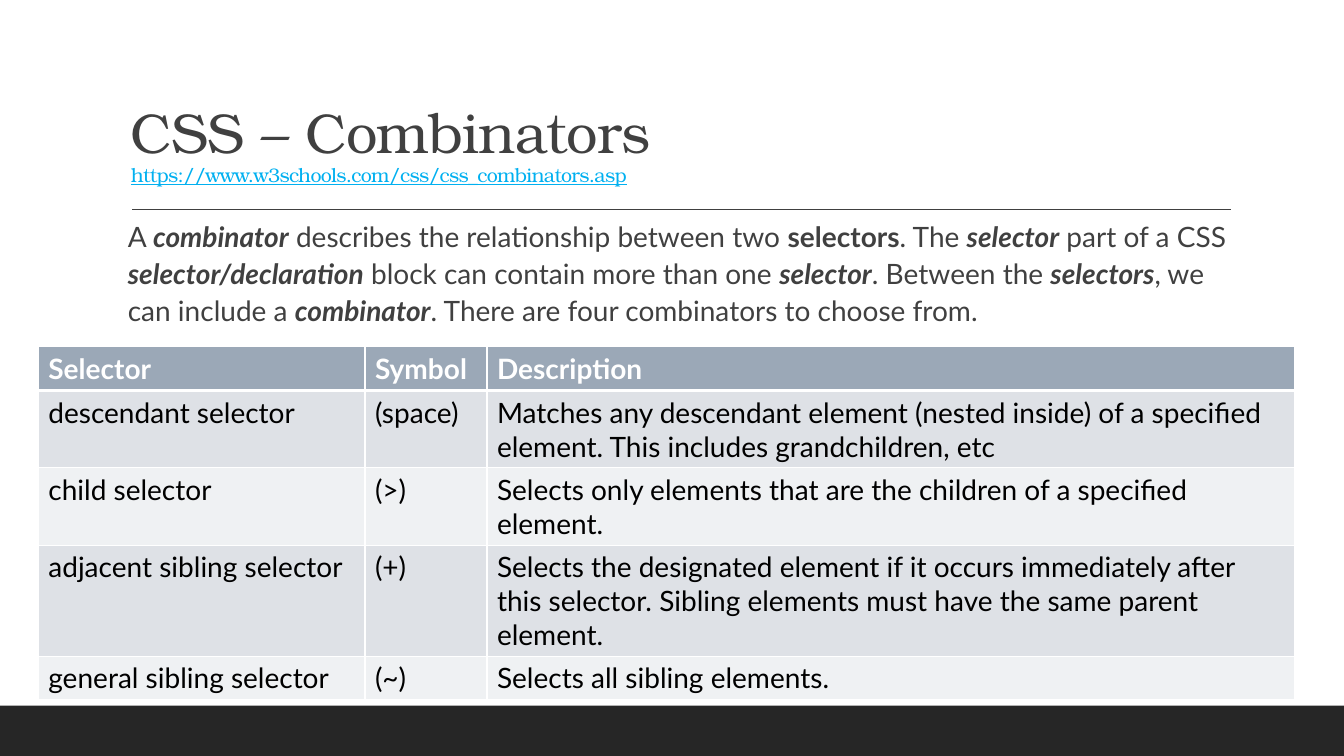
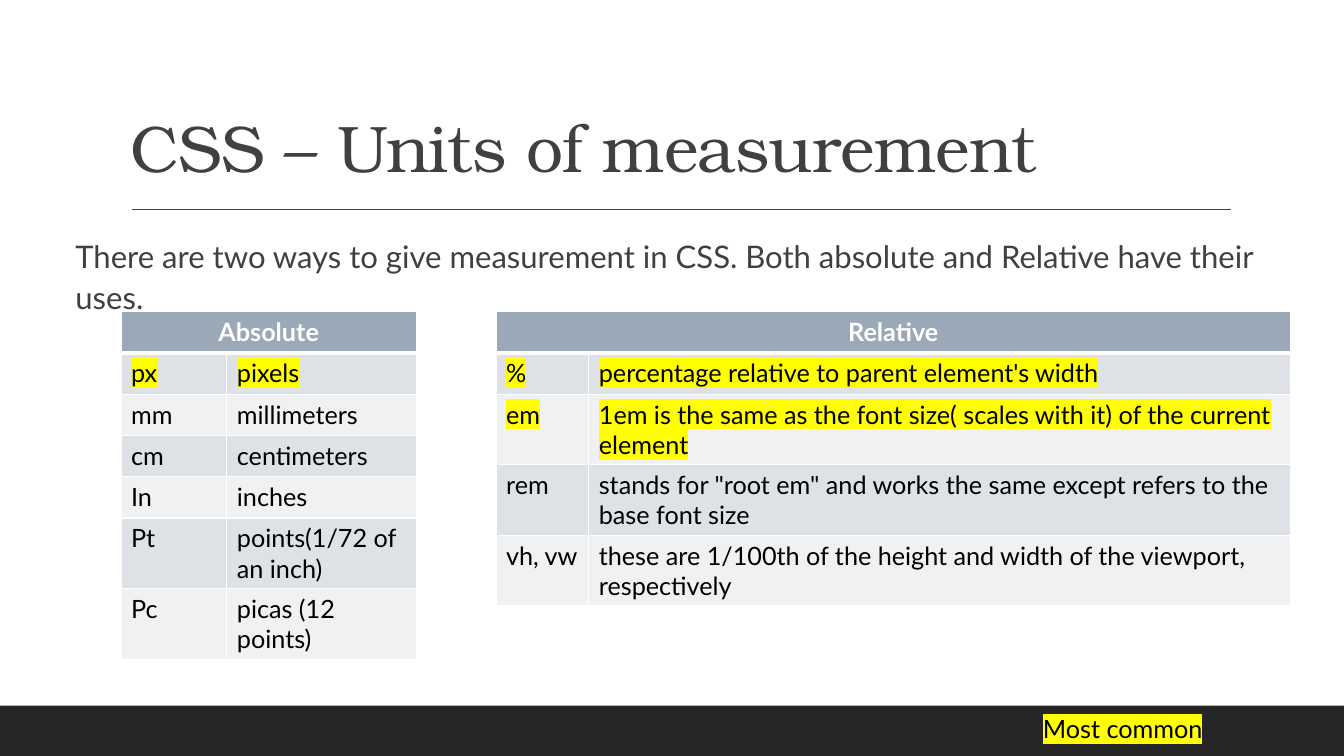
import lxml.etree
import pptx
import pptx.dml.color
import pptx.enum.shapes
import pptx.enum.text
import pptx.oxml.ns
import pptx.util

Inches = pptx.util.Inches
Pt = pptx.util.Pt
RGBColor = pptx.dml.color.RGBColor
qn = pptx.oxml.ns.qn

WHITE = RGBColor(0xFF, 0xFF, 0xFF)
BLACK = RGBColor(0x00, 0x00, 0x00)
CHARCOAL = RGBColor(0x40, 0x40, 0x40)
FOOTER = RGBColor(0x26, 0x26, 0x26)
LINK = RGBColor(0x00, 0xB0, 0xF0)
YELLOW = RGBColor(0xFF, 0xFF, 0x00)
HEADER = RGBColor(0x9B, 0xA8, 0xB7)
BANDS = (RGBColor(0xDE, 0xE1, 0xE6), RGBColor(0xEF, 0xF1, 0xF3))

TITLE_FONT = "TeX Gyre Bonum"
BODY_FONT = "Lato"
CENTER = pptx.enum.text.PP_ALIGN.CENTER
ROW_HEIGHT = 0.41


def add_solid_color(parent, tag, color):
    fill = lxml.etree.SubElement(parent, qn(tag))
    lxml.etree.SubElement(fill, qn("a:srgbClr")).set("val", str(color))


def highlight(span):
    """Mark a span whose font colour is already set."""
    properties = span._r.get_or_add_rPr()
    add_solid_color(properties, "a:highlight", YELLOW)
    properties.find(qn("a:solidFill")).addnext(properties.find(qn("a:highlight")))


def set_borders(cell, top, bottom):
    properties = cell._tc.get_or_add_tcPr()
    for side, points in (("L", 1), ("R", 1), ("T", top), ("B", bottom)):
        line = lxml.etree.SubElement(properties, qn("a:ln" + side))
        line.set("w", str(Pt(points)))
        add_solid_color(line, "a:solidFill", WHITE)


class Lesson:
    """Holds the deck, its style and the current page."""

    def __init__(self):
        self.deck = pptx.Presentation()
        self.deck.slide_width = Inches(13.33)
        self.deck.slide_height = Inches(7.5)
        self.page = None

    def add_page(self):
        self.page = self.deck.slides.add_slide(self.deck.slide_layouts[6])
        band = self.page.shapes.add_shape(
            pptx.enum.shapes.MSO_SHAPE.RECTANGLE,
            Inches(0), Inches(7), Inches(13.33), Inches(0.5))
        band.shadow.inherit = False
        band.fill.solid()
        band.fill.fore_color.rgb = FOOTER
        band.line.fill.background()
        rule = self.page.shapes.add_connector(
            pptx.enum.shapes.MSO_CONNECTOR.STRAIGHT,
            Inches(1.31), Inches(2.08), Inches(12.21), Inches(2.08))
        rule.line.color.rgb = CHARCOAL
        rule.line.width = Pt(1)
        lxml.etree.SubElement(rule._element.spPr, qn("a:effectLst"))

    def add_box(self, left, top, width, height):
        box = self.page.shapes.add_textbox(
            Inches(left), Inches(top), Inches(width), Inches(height))
        box.text_frame.word_wrap = True
        return box.text_frame

    def style_span(self, span, size, color, name=BODY_FONT, bold=False, italic=False):
        font = span.font
        font.size, font.name = Pt(size), name
        font.bold, font.italic = bold, italic
        font.color.rgb = color

    def add_title(self, title, size, address=None):
        frame = self.add_box(1.2, 0.31, 11, 1.59)
        frame.vertical_anchor = pptx.enum.text.MSO_ANCHOR.BOTTOM
        para = frame.paragraphs[0]
        para.text = f"{title}\v{address}" if address else title
        para.line_spacing = 0.9
        for span in para.runs:
            self.style_span(span, size, CHARCOAL, TITLE_FONT)
            span._r.get_or_add_rPr().set("spc", "-50")
        if address:
            self.style_span(span, 14, LINK, TITLE_FONT)
            span.font.underline = True

    def add_body(self, left, top, width, height, size, spans):
        """Each span is (text, style), where style may hold b and i."""
        frame = self.add_box(left, top, width, height)
        frame.margin_right = 0
        para = frame.paragraphs[0]
        para.line_spacing = 1.1
        for text, style in spans:
            span = para.add_run()
            span.text = text
            self.style_span(span, size, CHARCOAL, bold="b" in style, italic="i" in style)

    def add_legend(self, left, top, width, height, text):
        para = self.add_box(left, top, width, height).paragraphs[0]
        para.text = text
        para.alignment = CENTER
        self.style_span(para.runs[0], 18, BLACK)
        highlight(para.runs[0])

    def add_table(self, left, top, widths, size, rows, marked=0):
        """A one-word header row spans the table; the first marked body rows are highlighted."""
        table = self.page.shapes.add_table(
            len(rows), len(widths), Inches(left), Inches(top),
            Inches(sum(widths)), Inches(ROW_HEIGHT * len(rows))).table
        for column, width in zip(table.columns, widths):
            column.width = Inches(width)
        spanning = len(rows[0]) == 1
        for row_index, texts in enumerate(rows):
            table.rows[row_index].height = Inches(ROW_HEIGHT)
            is_header = row_index == 0
            for column_index in range(len(widths)):
                cell = table.cell(row_index, column_index)
                set_borders(cell, 3 if row_index == 1 else 1, 3 if is_header else 1)
                cell.fill.solid()
                cell.fill.fore_color.rgb = HEADER if is_header else BANDS[(row_index - 1) % 2]
                if column_index >= len(texts):
                    continue
                para = cell.text_frame.paragraphs[0]
                para.text = texts[column_index]
                span = para.runs[0]
                self.style_span(span, size, WHITE if is_header else BLACK, bold=is_header)
                if is_header and spanning:
                    para.alignment = CENTER
                if 1 <= row_index <= marked:
                    highlight(span)
        if spanning:
            table.cell(0, 0).merge(table.cell(0, len(widths) - 1))


def add_combinators(lesson):
    lesson.add_page()
    lesson.add_title("CSS – Combinators", 40,
                     "https://www.w3schools.com/css/css_combinators.asp")
    lesson.add_body(1.17, 2.1, 11, 1.22, 20, [
        ("A ", ""), ("combinator", "bi"),
        (" describes the relationship between two ", ""), ("selectors", "b"),
        (". The ", ""), ("selector", "bi"),
        (" part of a CSS ", ""), ("selector/declaration", "bi"),
        (" block can contain more than one ", ""), ("selector", "bi"),
        (". Between the ", ""), ("selectors", "bi"),
        (", we can include a ", ""), ("combinator", "bi"),
        (". There are four combinators to choose from.", ""),
    ])
    lesson.add_table(0.38, 3.44, (3.24, 1.21, 8.01), 20, [
        ("Selector", "Symbol", "Description"),
        ("descendant selector", "(space)",
         "Matches any descendant element (nested inside) of a specified element. "
         "This includes grandchildren, etc"),
        ("child selector", "(>)",
         "Selects only elements that are the children of a specified element."),
        ("adjacent sibling selector", "(+)",
         "Selects the designated element if it occurs immediately after this selector. "
         "Sibling elements must have the same parent element."),
        ("general sibling selector", "(~)", "Selects all sibling elements."),
    ])


def add_units(lesson):
    lesson.add_page()
    lesson.add_title("CSS – Units of measurement", 47)
    lesson.add_body(0.65, 2.27, 12.04, 0.6, 22.2, [
        ("There are two ways to give measurement in CSS. "
         "Both absolute and Relative have their uses.", ""),
    ])
    lesson.add_table(1.2, 3.09, (1.05, 1.88), 18, [
        ("Absolute",),
        ("px", "pixels"),
        ("mm", "millimeters"),
        ("cm", "centimeters"),
        ("In", "inches"),
        ("Pt", "points(1/72 of an inch)"),
        ("Pc", "picas (12 points)"),
    ], marked=1)
    lesson.add_table(4.92, 3.09, (0.92, 6.96), 18, [
        ("Relative",),
        ("%", "percentage relative to parent element's width"),
        ("em", "1em is the same as the font size( scales with it) of the current element"),
        ("rem", 'stands for "root em" and works the same except refers to the base font size'),
        ("vh, vw", "these are 1/100th of the height and width of the viewport, respectively"),
    ], marked=2)
    lesson.add_legend(10.07, 7.03, 2.13, 0.4, "Most common")


def main():
    lesson = Lesson()
    add_combinators(lesson)
    add_units(lesson)
    lesson.deck.save("out.pptx")


if __name__ == "__main__":
    main()
